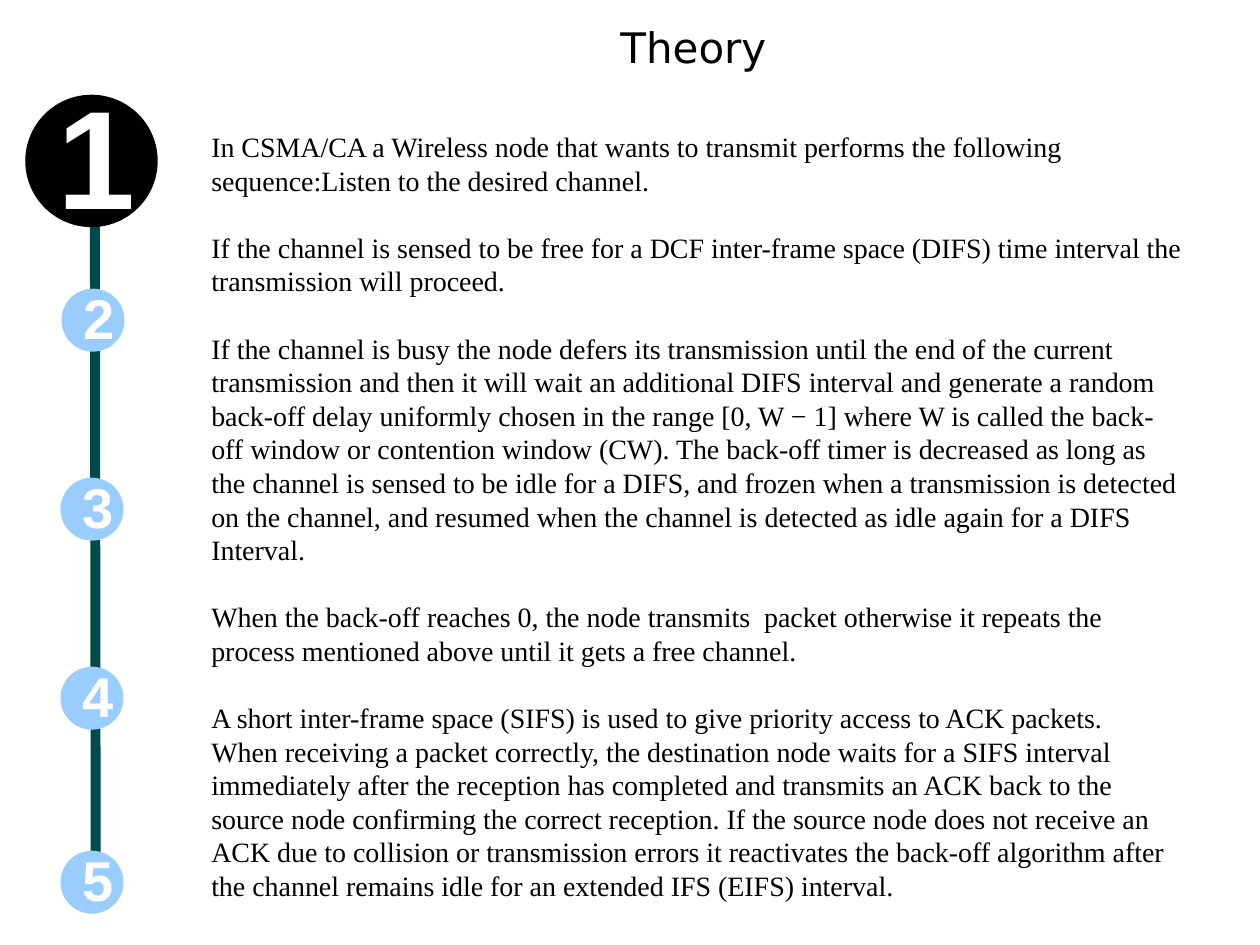
"""Build the theory slide with its five-step timeline."""
from lxml.etree import SubElement
from pptx import Presentation
from pptx.dml.color import RGBColor
from pptx.enum.shapes import MSO_CONNECTOR as Link, MSO_SHAPE as Kind
from pptx.enum.text import MSO_ANCHOR as Anchor, PP_ALIGN as Align
from pptx.oxml.ns import qn
from pptx.util import Cm, Pt


def tint(fmt, code):
    fmt.rgb = RGBColor.from_string(code)


def write(shape, texts, style, code, frame, para):
    box = shape.text_frame
    for key, val in frame.items():
        setattr(box, key, val)
    for num, text in enumerate(texts):
        line = box.add_paragraph() if num else box.paragraphs[0]
        run = line.add_run()
        run.text = text
        for key, val in para.items():
            setattr(line, key, val)
        for key, val in style.items():
            setattr(run.font, key, val)
        tint(run.font.color, code)
    return box.paragraphs


deck = Presentation()
deck.slide_width, deck.slide_height = Cm(25.4), Cm(19.05)
slide = deck.slides.add_slide(deck.slide_layouts[6])
shapes = slide.shapes

title = shapes.add_textbox(Cm(4.01), Cm(0.43), Cm(19.94), Cm(1.63))
flush = {"margin_left": 0, "margin_right": 0, "margin_top": 0, "margin_bottom": 0}
write(title, ["Theory"], {"size": Pt(24), "name": "DejaVu Sans"}, "000000",
      {"word_wrap": True, **flush}, {"alignment": Align.CENTER})

steps = [
    "In CSMA/CA a Wireless node that wants to transmit performs the following "
    "sequence:Listen to the desired channel.",
    "If the channel is sensed to be free for a DCF inter-frame space (DIFS) time "
    "interval the transmission will proceed.",
    "If the channel is busy the node defers its transmission until the end of the "
    "current transmission and then it will wait an additional DIFS interval and "
    "generate a random back-off delay uniformly chosen in the range [0, W − 1] where "
    "W is called the back-off window or contention window (CW). The back-off timer is "
    "decreased as long as the channel is sensed to be idle for a DIFS, and frozen when "
    "a transmission is detected on the channel, and resumed when the channel is "
    "detected as idle again for a DIFS Interval.",
    "When the back-off reaches 0, the node transmits  packet otherwise it repeats the "
    "process mentioned above until it gets a free channel.",
    "A short inter-frame space (SIFS) is used to give priority access to ACK packets.",
    "When receiving a packet correctly, the destination node waits for a SIFS interval "
    "immediately after the reception has completed and transmits an ACK back to the "
    "source node confirming the correct reception. If the source node does not receive "
    "an ACK due to collision or transmission errors it reactivates the back-off "
    "algorithm after the channel remains idle for an extended IFS (EIFS) interval.",
]
pitch = Pt(19.2)
body = shapes.add_textbox(Cm(4.01), Cm(2.49), Cm(20.12), Cm(17.2))
lines = write(body, steps, {"size": Pt(16), "name": "Times New Roman"}, "000000",
              {"word_wrap": True}, {"line_spacing": pitch})
for line in lines[1:5]:
    line.space_before = pitch

rail = shapes.add_connector(Link.STRAIGHT, Cm(1.91), Cm(2.29), Cm(1.93), Cm(18.29))
rail.line.width = Pt(5.67)
tint(rail.line.color, "004A4A")
SubElement(rail._element.spPr, qn("a:effectLst"))

dots = [(1.24, 5.82), (1.22, 9.63), (1.22, 13.44), (1.22, 17.15)]
marks = [(left, top, 1.27, 32, "99CCFF") for left, top in dots]
marks.insert(0, (0.51, 1.91, 2.67, 80, "000000"))
for num, (left, top, size, points, code) in enumerate(marks, 1):
    mark = shapes.add_shape(Kind.OVAL, Cm(left), Cm(top), Cm(size), Cm(size))
    mark.shadow.inherit = False
    mark.fill.solid()
    tint(mark.fill.fore_color, code)
    mark.line.fill.background()
    write(mark, [str(num)], {"size": Pt(points), "name": "Arial", "bold": True}, "FFFFFF",
          {"word_wrap": True, "vertical_anchor": Anchor.MIDDLE},
          {"alignment": Align.CENTER, "line_spacing": 0.96})

deck.save("out.pptx")
